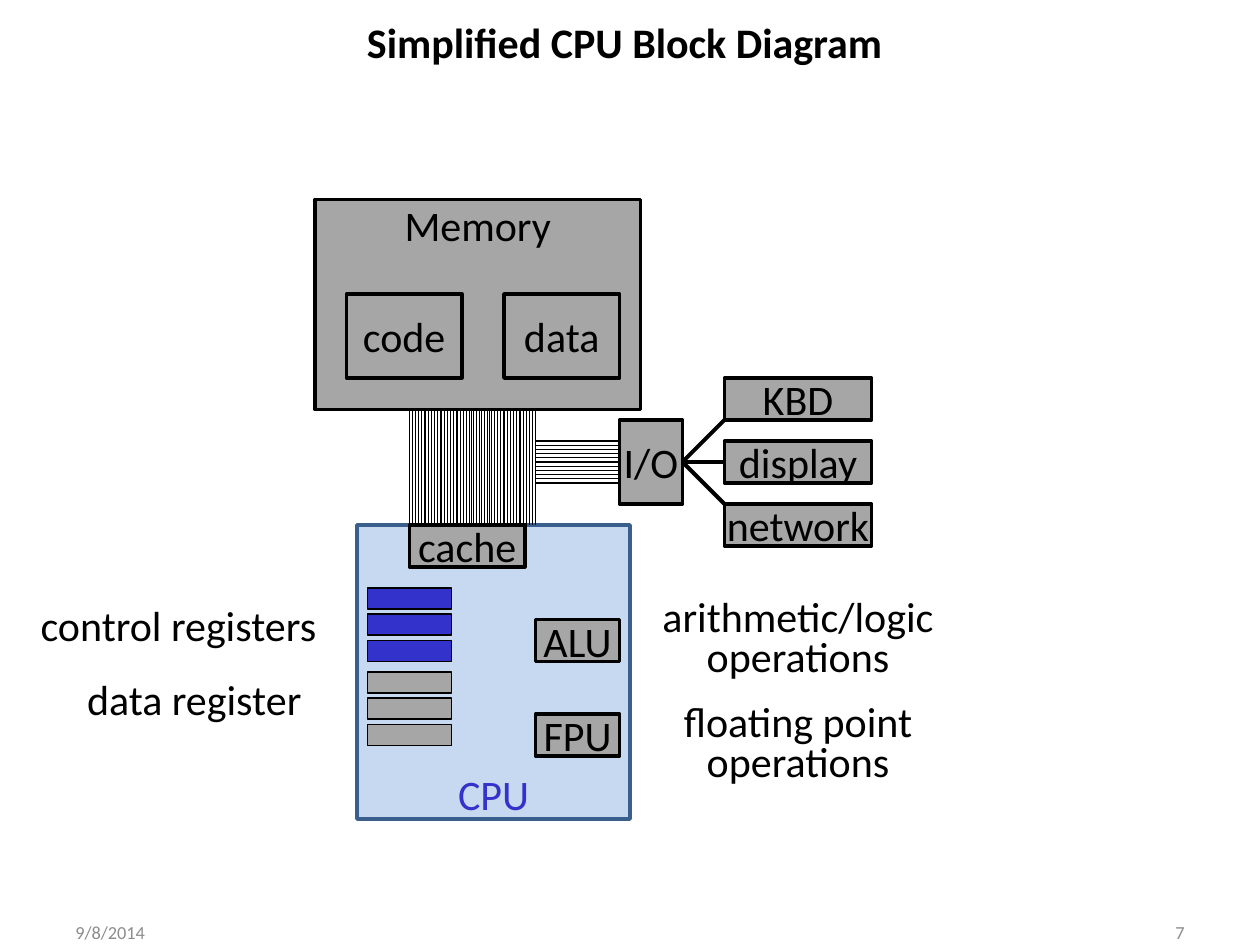
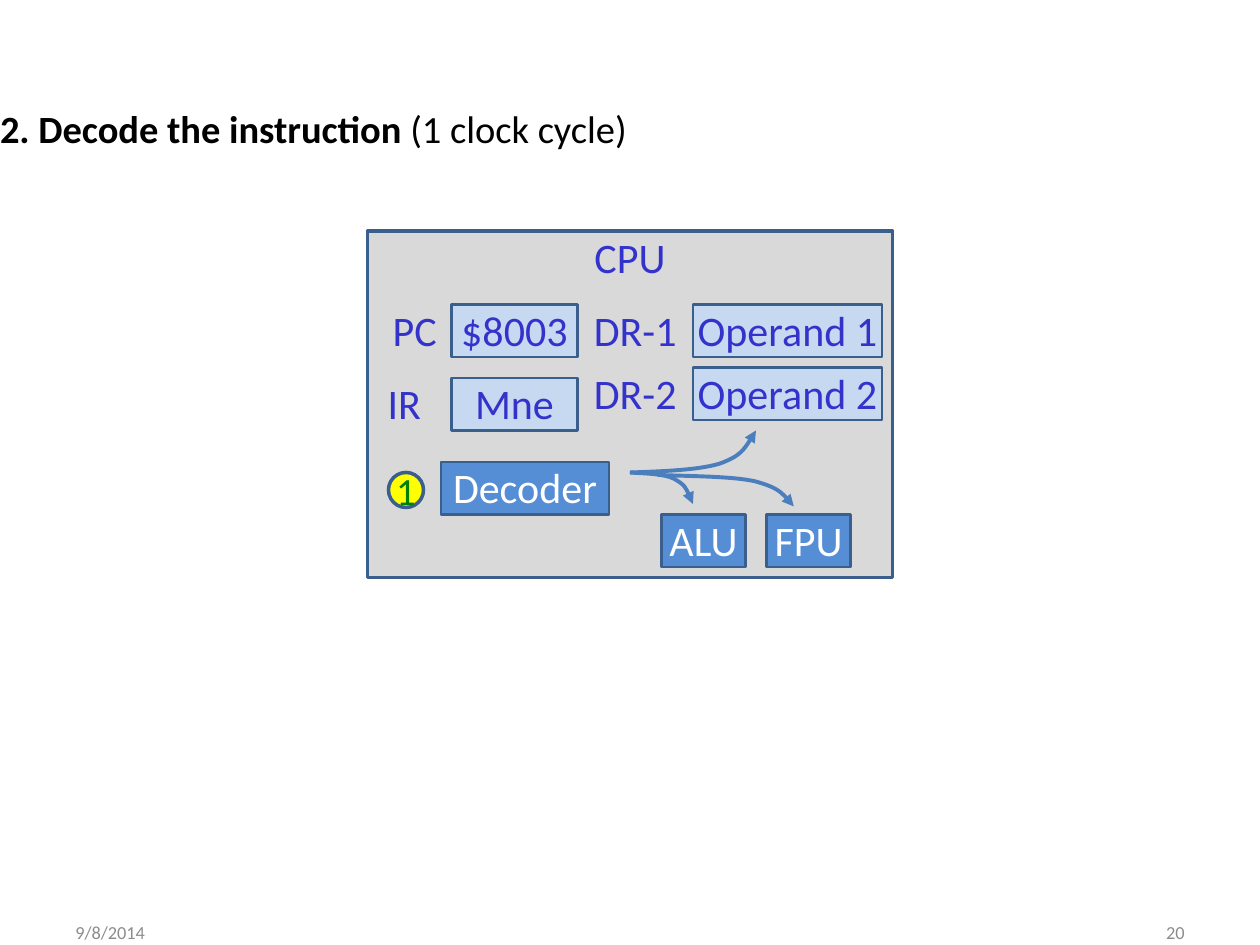
from dataclasses import dataclass
from typing import NamedTuple, Optional

from lxml.etree import SubElement
from pptx import Presentation
from pptx.dml.color import RGBColor
from pptx.enum.shapes import MSO_CONNECTOR, MSO_SHAPE
from pptx.enum.text import MSO_ANCHOR, PP_ALIGN
from pptx.oxml.ns import qn
from pptx.slide import Slide
from pptx.text.text import TextFrame
from pptx.util import Pt

BLACK = RGBColor(0x00, 0x00, 0x00)
WHITE = RGBColor(0xFF, 0xFF, 0xFF)
GRAY = RGBColor(0xA6, 0xA6, 0xA6)
LIGHT_GRAY = RGBColor(0xD9, 0xD9, 0xD9)
FOOTER_GRAY = RGBColor(0x8C, 0x8C, 0x8C)
PALE_BLUE = RGBColor(0xC6, 0xD9, 0xF1)
MID_BLUE = RGBColor(0x55, 0x8E, 0xD5)
EDGE_BLUE = RGBColor(0x3A, 0x5F, 0x8C)
ARROW_BLUE = RGBColor(0x4B, 0x7E, 0xBC)
INDIGO = RGBColor(0x33, 0x33, 0xCC)
YELLOW = RGBColor(0xFF, 0xFF, 0x00)
GREEN = RGBColor(0x00, 0x80, 0x00)
FONT = "Calibri"
DATE = "9/8/2014"


class Point(NamedTuple):
    x: float
    y: float


class Run(NamedTuple):
    text: str
    bold: bool = False


@dataclass(frozen=True)
class Style:
    fill: RGBColor
    edge: Optional[RGBColor]
    weight: float
    ink: RGBColor
    anchor: MSO_ANCHOR = MSO_ANCHOR.TOP
    size: float = 24
    outline: MSO_SHAPE = MSO_SHAPE.RECTANGLE


@dataclass(frozen=True)
class Block:
    x: float
    y: float
    w: float
    h: float
    label: str
    style: Style


@dataclass(frozen=True)
class Caption:
    x: float
    y: float
    w: float
    h: float
    runs: tuple[Run, ...]
    size: float = 24
    ink: RGBColor = BLACK
    align: PP_ALIGN = PP_ALIGN.CENTER
    anchor: MSO_ANCHOR = MSO_ANCHOR.MIDDLE
    spacing: Optional[float] = None
    side_inset: float = 0


UNIT = Style(GRAY, BLACK, 2, BLACK, MSO_ANCHOR.MIDDLE)
MEMORY = Style(GRAY, BLACK, 2, BLACK)
DATA_REGISTER = Style(GRAY, BLACK, 1, BLACK)
CONTROL_REGISTER = Style(INDIGO, BLACK, 1, WHITE)
CPU_CHIP = Style(PALE_BLUE, EDGE_BLUE, 2, INDIGO, MSO_ANCHOR.BOTTOM)
CPU_PANEL = Style(LIGHT_GRAY, EDGE_BLUE, 2, INDIGO)
REGISTER_NAME = Style(LIGHT_GRAY, None, 0, INDIGO)
REGISTER_VALUE = Style(PALE_BLUE, EDGE_BLUE, 1.5, INDIGO)
ACTIVE_UNIT = Style(MID_BLUE, EDGE_BLUE, 1.5, WHITE)
STEP_BADGE = Style(YELLOW, EDGE_BLUE, 2, GREEN, MSO_ANCHOR.MIDDLE, 22, MSO_SHAPE.OVAL)


def write_text(frame: TextFrame, runs: tuple[Run, ...], size: float, ink: RGBColor,
               align: PP_ALIGN, anchor: MSO_ANCHOR, side_inset: float = 0,
               spacing: Optional[float] = None) -> None:
    frame.word_wrap = True
    frame.vertical_anchor = anchor
    frame.margin_left = frame.margin_right = Pt(side_inset)
    frame.margin_top = frame.margin_bottom = Pt(0)
    paragraph = frame.paragraphs[0]
    paragraph.alignment = align
    if spacing:
        paragraph.line_spacing = Pt(spacing)
    for part in runs:
        run = paragraph.add_run()
        run.text = part.text
        run.font.name = FONT
        run.font.size = Pt(size)
        run.font.bold = part.bold
        run.font.color.rgb = ink


def draw_block(slide: Slide, block: Block) -> None:
    style = block.style
    shape = slide.shapes.add_shape(
        style.outline, Pt(block.x), Pt(block.y), Pt(block.w), Pt(block.h))
    shape.shadow.inherit = False
    shape.fill.solid()
    shape.fill.fore_color.rgb = style.fill
    if style.edge is None:
        shape.line.fill.background()
    else:
        shape.line.color.rgb = style.edge
        shape.line.width = Pt(style.weight)
    if block.label:
        write_text(shape.text_frame, (Run(block.label),), style.size, style.ink,
                   PP_ALIGN.CENTER, style.anchor)


def draw_caption(slide: Slide, caption: Caption) -> None:
    box = slide.shapes.add_textbox(
        Pt(caption.x), Pt(caption.y), Pt(caption.w), Pt(caption.h))
    write_text(box.text_frame, caption.runs, caption.size, caption.ink, caption.align,
               caption.anchor, caption.side_inset, caption.spacing)


def draw_wire(slide: Slide, start: Point, end: Point, weight: float) -> None:
    wire = slide.shapes.add_connector(
        MSO_CONNECTOR.STRAIGHT, Pt(start.x), Pt(start.y), Pt(end.x), Pt(end.y))
    wire.line.color.rgb = BLACK
    wire.line.width = Pt(weight)
    SubElement(wire.element.spPr, qn("a:effectLst"))


def bundle_offsets(bundles: int, pitch: float, step: float) -> list[float]:
    return [bundle * pitch + wire * step for bundle in range(bundles) for wire in range(6)]


def draw_curved_arrow(slide: Slide, start: Point, controls: tuple[Point, ...]) -> None:
    builder = slide.shapes.build_freeform(Pt(start.x), Pt(start.y))
    builder.add_line_segments([(Pt(p.x), Pt(p.y)) for p in controls], close=False)
    arrow = builder.convert_to_shape()
    arrow.shadow.inherit = False
    arrow.fill.background()
    arrow.line.color.rgb = ARROW_BLUE
    arrow.line.width = Pt(2.25)
    properties = arrow.element.spPr
    SubElement(properties.find(qn("a:ln")), qn("a:tailEnd"), type="triangle")
    outline = next(properties.iter(qn("a:path")))
    segments = outline.findall(qn("a:lnTo"))
    for first in range(0, len(segments), 3):
        bezier = SubElement(outline, qn("a:cubicBezTo"))
        for segment in segments[first:first + 3]:
            bezier.append(segment[0])
            outline.remove(segment)


def draw_footer(slide: Slide, number: str) -> None:
    for x, text, align in ((36, DATE, PP_ALIGN.LEFT), (516, number, PP_ALIGN.RIGHT)):
        draw_caption(slide, Caption(x, 526.3, 168, 13, (Run(text),), 10.5, FOOTER_GRAY,
                                    align, side_inset=7.2))


def build_block_diagram(slide: Slide) -> None:
    for offset in bundle_offsets(2, 12, 2.4):
        draw_wire(slide, Point(354, 252 + offset), Point(306, 252 + offset), 0.75)
    draw_block(slide, Block(204, 300, 156, 168, "CPU", CPU_CHIP))
    draw_block(slide, Block(354, 240, 36, 48, "I/O", UNIT))
    for offset in bundle_offsets(8, 9.09, 1.68):
        draw_wire(slide, Point(234 + offset, 234), Point(234 + offset, 300), 0.5)
    draw_block(slide, Block(180, 114, 186, 120, "Memory", MEMORY))
    for x, content in ((288, "data"), (198, "code")):
        draw_block(slide, Block(x, 168, 66, 48, content, UNIT))

    for device_end in (Point(420, 234), Point(420, 294), Point(426, 264)):
        draw_wire(slide, Point(390, 264), device_end, 2.25)
    for row, device in enumerate(("KBD", "display", "network")):
        draw_block(slide, Block(414, 216 + 36 * row, 84, 24, device, UNIT))

    draw_caption(slide, Caption(180, 12, 354, 24,
                                (Run("Simplified CPU Block Diagram", True),)))
    draw_block(slide, Block(234, 300, 66, 24, "cache", UNIT))
    for top, register in ((384, DATA_REGISTER), (336, CONTROL_REGISTER)):
        for row in range(3):
            draw_block(slide, Block(210, top + 15 * row, 48, 12, "", register))
    for y, unit in ((408, "FPU"), (354, "ALU")):
        draw_block(slide, Block(306, y, 48, 24, unit, UNIT))
    for x, y, w, text in (
        (42, 390, 138, "data register"),
        (18, 348, 168, "control registers"),
        (378, 354, 156, "arithmetic/logic operations"),
        (378, 414, 156, "floating point operations"),
    ):
        draw_caption(slide, Caption(x, y, w, 24, (Run(text),), spacing=23))
    draw_footer(slide, "7")


def build_decode_step(slide: Slide) -> None:
    draw_block(slide, Block(210, 132, 300, 198, "CPU", CPU_PANEL))
    for x, y, w, label, style in (
        (258, 174, 72, "$8003", REGISTER_VALUE),
        (222, 174, 30, "PC", REGISTER_NAME),
        (216, 216, 30, "IR", REGISTER_NAME),
        (258, 216, 72, "Mne", REGISTER_VALUE),
        (339, 174, 48, "DR-1", REGISTER_NAME),
        (339, 210, 48, "DR-2", REGISTER_NAME),
        (396, 174, 108, "Operand 1", REGISTER_VALUE),
        (396, 210, 108, "Operand 2", REGISTER_VALUE),
        (252, 264, 96, "Decoder", ACTIVE_UNIT),
        (378, 294, 48, "ALU", ACTIVE_UNIT),
        (438, 294, 48, "FPU", ACTIVE_UNIT),
    ):
        draw_block(slide, Block(x, y, w, 30, label, style))
    draw_block(slide, Block(222, 270, 20, 20, "1", STEP_BADGE))
    draw_caption(slide, Caption(
        0, 60, 378, 26.4,
        (Run("2. Decode the instruction ", True), Run("(1 clock cycle)")),
        22, align=PP_ALIGN.LEFT, anchor=MSO_ANCHOR.TOP))

    decoder_exit = Point(360, 270)
    to_alu = (Point(370, 270.7), Point(379.4, 270.7), Point(385.2, 273.6),
              Point(391.7, 277.2), Point(393.8, 282.2), Point(396, 288))
    to_fpu = (Point(396.7, 272.2), Point(418.3, 272.2), Point(431.3, 275),
              Point(444.2, 278.6), Point(449.3, 283.7), Point(453.6, 289.4))
    to_operands = (Point(379.4, 269.3), Point(398.9, 268.6), Point(411.1, 265),
                   Point(423.4, 260.6), Point(427.7, 253.4), Point(432, 246))
    draw_curved_arrow(slide, decoder_exit, to_alu)
    draw_curved_arrow(slide, Point(375.8, 271.4), to_fpu)
    draw_curved_arrow(slide, decoder_exit, to_operands)
    draw_footer(slide, "20")


deck = Presentation()
deck.slide_width = Pt(720)
deck.slide_height = Pt(540)
blank = deck.slide_layouts[6]
for build in (build_block_diagram, build_decode_step):
    build(deck.slides.add_slide(blank))
deck.save("out.pptx")
